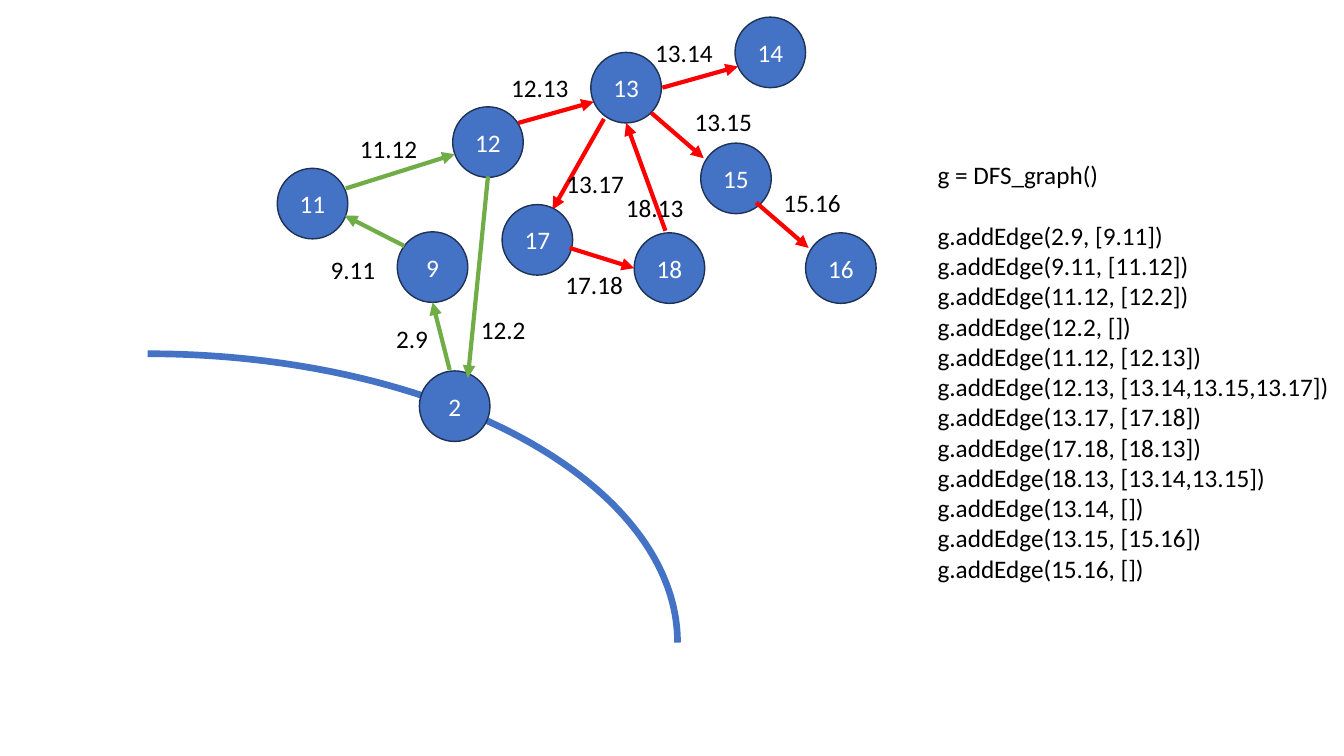
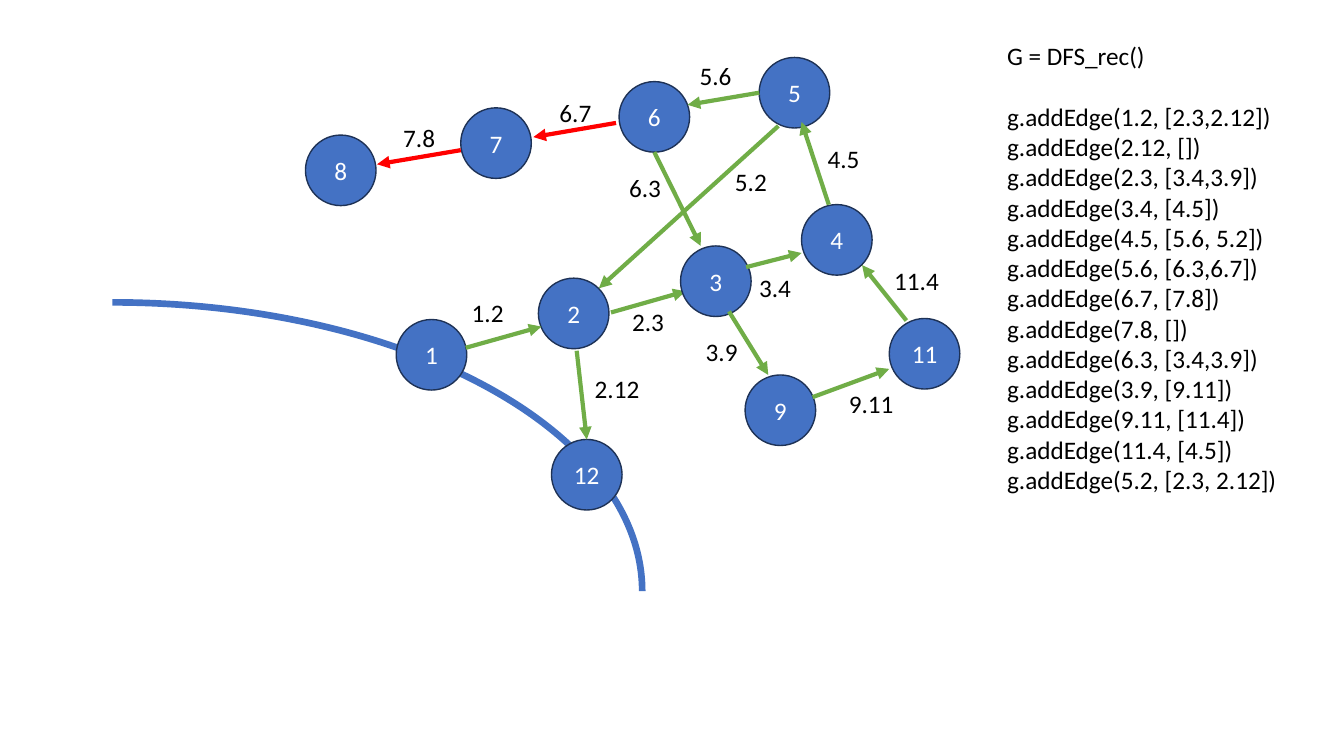
from dataclasses import dataclass

from lxml.etree import SubElement
from pptx import Presentation
from pptx.dml.color import RGBColor
from pptx.enum.shapes import MSO_CONNECTOR as CONN, MSO_SHAPE as SHAPE
from pptx.enum.text import MSO_ANCHOR as ANCHOR, MSO_AUTO_SIZE as FIT, PP_ALIGN as ALIGN
from pptx.oxml.ns import qn
from pptx.util import Inches, Pt


@dataclass(frozen=True)
class Theme:
    font: str = "Calibri"
    size: float = 18
    line_gap: float = 22
    node: RGBColor = RGBColor(0x44, 0x72, 0xC4)
    outline: RGBColor = RGBColor(0x1E, 0x32, 0x56)
    visited: RGBColor = RGBColor(0x70, 0xAD, 0x47)
    branch: RGBColor = RGBColor(0xFF, 0x00, 0x00)
    text: RGBColor = RGBColor(0x00, 0x00, 0x00)
    on_node: RGBColor = RGBColor(0xFF, 0xFF, 0xFF)
    arc_line: float = 4.75
    edge_line: float = 3
    node_line: float = 1


THEME = Theme()
NODE_SIZE = 0.7
BLANK = 6


def put_text(p, text, color=THEME.text, size=THEME.size, align=None, after=0):
    p.alignment = align
    p.space_after = Pt(after)
    r = p.add_run()
    r.text = text
    r.font.name = THEME.font
    r.font.size = Pt(size)
    r.font.color.rgb = color


class GraphDeck:
    def __init__(self, theme):
        self.theme = theme
        self.prs = Presentation()
        self.prs.slide_width = Inches(13.33)
        self.prs.slide_height = Inches(7.5)
        self.s = None

    def new_slide(self):
        self.s = self.prs.slides.add_slide(self.prs.slide_layouts[BLANK])

    def _shape(self, kind, x, y, w, h, line, width):
        sp = self.s.shapes.add_shape(kind, Inches(x), Inches(y), Inches(w), Inches(h))
        sp.shadow.inherit = False
        sp.line.color.rgb = line
        sp.line.width = Pt(width)
        return sp

    def arc(self, x, y):
        sp = self._shape(SHAPE.ARC, x, y, 10.51, 5.73, self.theme.node, self.theme.arc_line)
        sp.fill.background()

    def nodes(self, places):
        """Draw circles from a mapping of number to left and top."""
        t = self.theme
        for number, (x, y) in places.items():
            sp = self._shape(SHAPE.OVAL, x, y, NODE_SIZE, NODE_SIZE, t.outline, t.node_line)
            sp.fill.solid()
            sp.fill.fore_color.rgb = t.node
            tf = sp.text_frame
            tf.vertical_anchor = ANCHOR.MIDDLE
            put_text(tf.paragraphs[0], str(number), color=t.on_node, align=ALIGN.CENTER)

    def _text_box(self, x, y, w, h):
        tf = self.s.shapes.add_textbox(Inches(x), Inches(y), Inches(w), Inches(h)).text_frame
        tf.word_wrap = False
        tf.auto_size = FIT.SHAPE_TO_FIT_TEXT
        return tf

    def edges(self, color, rows):
        """Draw arrows; a row is name, start, end and the label's left and top."""
        for name, start, end, (x, y) in rows:
            c = self.s.shapes.add_connector(CONN.STRAIGHT, *map(Inches, start + end))
            c.line.color.rgb = color
            c.line.width = Pt(self.theme.edge_line)
            SubElement(c.line._get_or_add_ln(), qn("a:tailEnd"), type="triangle")
            SubElement(c._element.spPr, qn("a:effectLst"))
            tf = self._text_box(x, y, 0.13 * (len(name) + 1), 0.4)
            put_text(tf.paragraphs[0], name)

    def code(self, x, y, w, h, head, calls):
        tf = self._text_box(x, y, w, h)
        put_text(tf.paragraphs[0], head, after=self.theme.line_gap)
        for args in calls:
            put_text(tf.add_paragraph(), f"g.addEdge({args})")


def cycle_with_branches(d):
    d.new_slide()
    d.arc(-3.79, 3.51)
    d.nodes({2: (4.16, 3.68), 9: (3.94, 2.3), 11: (2.75, 1.67), 12: (4.49, 1.06),
             13: (5.86, 0.52), 14: (7.29, 0.17), 15: (6.95, 1.42), 16: (7.99, 2.31)})
    d.edges(d.theme.visited, [
        ("2.9", (4.46, 3.67), (4.29, 3), (3.83, 3.16)),
        ("9.11", (4.01, 2.44), (3.42, 2.14), (3.18, 2.47)),
        ("11.12", (3.43, 1.87), (4.51, 1.53), (3.47, 1.27)),
        ("12.2", (4.84, 1.75), (4.64, 3.75), (4.67, 3.07)),
    ])
    d.edges(d.theme.branch, [
        ("12.13", (5.14, 1.22), (5.89, 1.01), (4.97, 0.67)),
        ("13.14", (6.57, 0.87), (7.32, 0.66), (6.4, 0.32)),
        ("13.15", (6.46, 1.12), (6.98, 1.57), (6.79, 1.01)),
        ("15.16", (7.5, 2.01), (8.02, 2.46), (7.67, 1.81)),
        ("13.17", (5.99, 1.18), (5.48, 2.08), (5.52, 1.62)),
    ])
    d.nodes({17: (4.98, 2.03), 18: (6.29, 2.31)})
    d.edges(d.theme.branch, [
        ("17.18", (5.65, 2.46), (6.29, 2.66), (5.51, 2.62)),
        ("18.13", (6.6, 2.29), (6.21, 1.22), (6.11, 1.86)),
    ])
    d.code(9.2, 1.53, 4.12, 4.34, "g = DFS_graph()", [
        "2.9, [9.11]", "9.11, [11.12]", "11.12, [12.2]", "12.2, []",
        "11.12, [12.13]", "12.13, [13.14,13.15,13.17]", "13.17, [17.18]",
        "17.18, [18.13]", "18.13, [13.14,13.15]", "13.14, []",
        "13.15, [15.16]", "15.16, []",
    ])


def nested_cycles(d):
    d.new_slide()
    d.arc(-4.14, 3)
    d.nodes({1: (3.93, 3.17), 2: (5.34, 2.76), 4: (7.95, 2.03), 5: (7.53, 0.57),
             6: (6.14, 0.81), 7: (4.57, 1.07), 8: (3.03, 1.34), 9: (7.39, 3.72),
             11: (8.82, 3.16), 12: (5.47, 4.36)})
    d.edges(d.theme.visited, [
        ("1.2", (4.62, 3.45), (5.37, 3.24), (4.58, 2.9)),
        ("2.3", (6.06, 3.1), (6.8, 2.89), (6.17, 2.99)),
        ("4.5", (8.22, 2.03), (7.95, 1.21), (8.11, 1.37)),
        ("5.6", (7.53, 0.92), (6.82, 1.04), (6.84, 0.55)),
        ("6.3", (6.49, 1.51), (6.95, 2.44), (6.14, 1.66)),
        ("5.2", (7.72, 1.25), (5.94, 2.86), (7.19, 1.6)),
    ])
    d.nodes({3: (6.75, 2.44)})
    d.edges(d.theme.visited, [
        ("3.4", (7.4, 2.65), (7.95, 2.51), (7.43, 2.65)),
        ("3.9", (7.23, 3.09), (7.62, 3.72), (6.9, 3.29)),
        ("9.11", (8.06, 3.94), (8.82, 3.66), (8.32, 3.8)),
        ("11.4", (8.99, 3.18), (8.55, 2.63), (8.77, 2.58)),
        ("2.12", (5.72, 3.48), (5.82, 4.36), (5.8, 3.65)),
    ])
    d.edges(d.theme.branch, [
        ("6.7", (6.11, 1.22), (5.29, 1.36), (5.45, 0.92)),
        ("7.8", (4.57, 1.49), (3.74, 1.63), (3.9, 1.16)),
    ])
    d.code(9.89, 0.35, 2.9, 4.64, "G = DFS_rec()", [
        "1.2, [2.3,2.12]", "2.12, []", "2.3, [3.4,3.9]", "3.4, [4.5]",
        "4.5, [5.6, 5.2]", "5.6, [6.3,6.7]", "6.7, [7.8]", "7.8, []",
        "6.3, [3.4,3.9]", "3.9, [9.11]", "9.11, [11.4]", "11.4, [4.5]",
        "5.2, [2.3, 2.12]",
    ])


def main():
    d = GraphDeck(THEME)
    cycle_with_branches(d)
    nested_cycles(d)
    d.prs.save("out.pptx")


if __name__ == "__main__":
    main()
